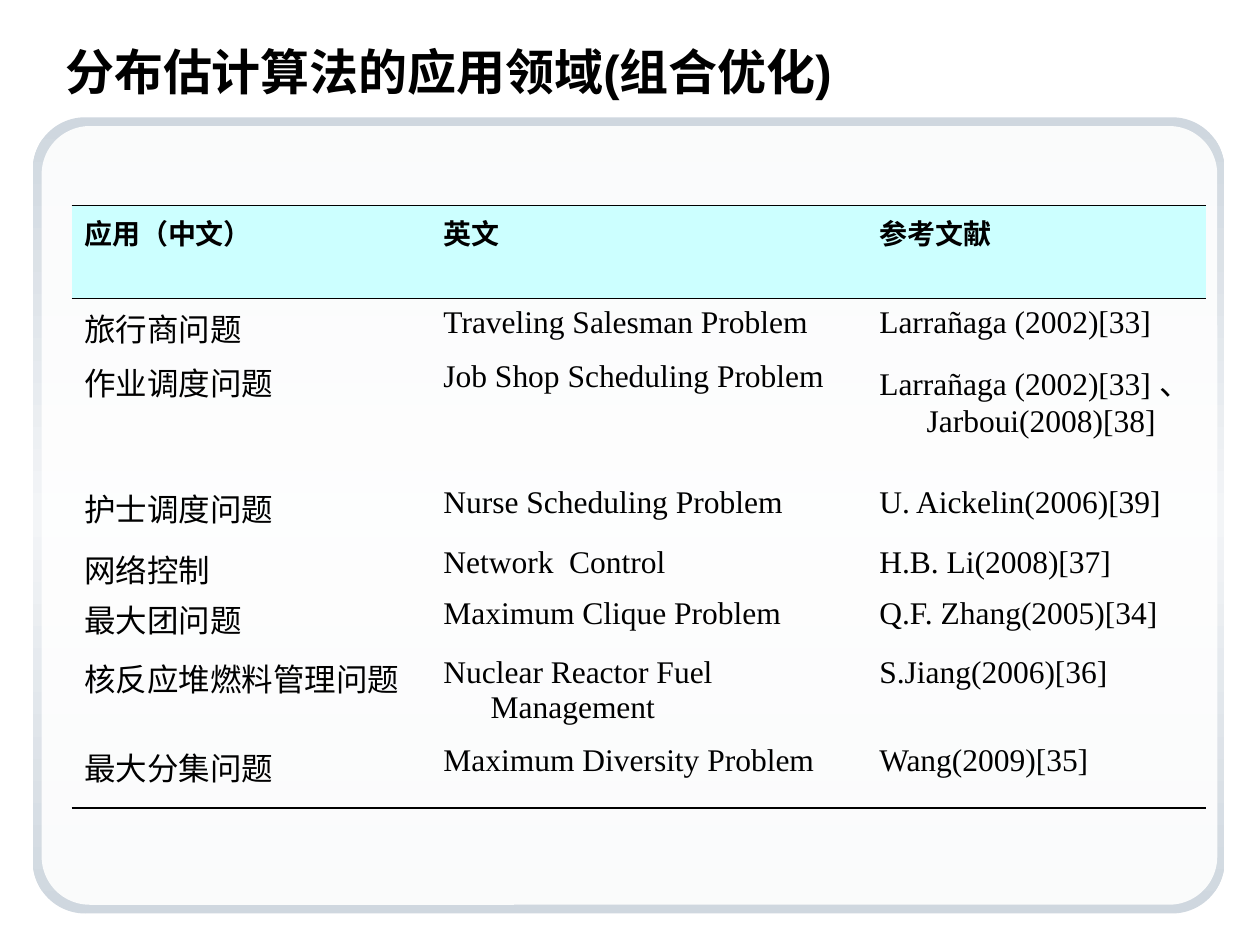
import copy

import pptx
import pptx.dml.color
import pptx.enum.dml
import pptx.enum.shapes
import pptx.enum.text
import pptx.oxml
import pptx.oxml.ns
import pptx.util
from lxml import etree

Pt = pptx.util.Pt
qn = pptx.oxml.ns.qn
RGBColor = pptx.dml.color.RGBColor

BLACK = RGBColor(0x00, 0x00, 0x00)
WHITE = RGBColor(0xFF, 0xFF, 0xFF)
EDGE_GREY = RGBColor(0xCF, 0xD7, 0xDF)
MIDDLE_GREY = RGBColor(0xF3, 0xF5, 0xF7)
HEADER_CYAN = RGBColor(0xCC, 0xFF, 0xFF)

TITLE = "分布估计算法的应用领域(组合优化)"
APPLICATIONS = [
    ("应用（中文）", "英文", "参考文献"),
    ("旅行商问题", "Traveling Salesman Problem", "Larrañaga (2002)[33]"),
    ("作业调度问题", "Job Shop Scheduling Problem",
     "Larrañaga (2002)[33] 、Jarboui(2008)[38]"),
    ("护士调度问题", "Nurse Scheduling Problem", "U. Aickelin(2006)[39]"),
    ("网络控制", "Network  Control", "H.B. Li(2008)[37]"),
    ("最大团问题", "Maximum Clique Problem", "Q.F. Zhang(2005)[34]"),
    ("核反应堆燃料管理问题", "Nuclear Reactor Fuel Management", "S.Jiang(2006)[36]"),
    ("最大分集问题", "Maximum Diversity Problem", "Wang(2009)[35]"),
]
COLUMN_WIDTHS = [205.2, 249.1, 193.7]
ROW_HEIGHTS = [53.3, 31, 50.4, 34.6, 28.8, 33.8, 50.4, 40.3]


class SlideBuilder:
    title_font = "Arial"
    table_font = "Times New Roman"
    title_size = 28
    header_size = 16
    body_size = 18
    hanging_indent = 27
    outer_rule = 0.96
    header_rule = 0.45

    def __init__(self, slide):
        self.slide = slide

    def style(self, paragraph, font_name, size, bold):
        paragraph.font.name = font_name
        paragraph.font.size = Pt(size)
        paragraph.font.bold = bold
        paragraph.font.color.rgb = BLACK

    def panel(self, left, top, width, height, rounding):
        shape = self.slide.shapes.add_shape(
            pptx.enum.shapes.MSO_SHAPE.ROUNDED_RECTANGLE,
            Pt(left), Pt(top), Pt(width), Pt(height))
        shape.adjustments[0] = rounding
        shape.shadow.inherit = False
        shape.line.fill.background()
        return shape

    def gradient_panel(self, left, top, width, height, rounding, colors):
        shape = self.panel(left, top, width, height, rounding)
        shape.fill.gradient()
        shape.fill.gradient_angle = 90
        stop_list = shape.element.spPr.find(".//" + qn("a:gsLst"))
        stop_list.insert(1, copy.deepcopy(stop_list[0]))
        for index, (stop, color) in enumerate(zip(shape.fill.gradient_stops, colors)):
            stop.position = index / (len(colors) - 1)
            stop.color.rgb = color

    def translucent_panel(self, left, top, width, height, rounding, color, opacity):
        shape = self.panel(left, top, width, height, rounding)
        shape.fill.solid()
        shape.fill.fore_color.rgb = color
        color_element = shape.element.spPr.find(".//" + qn("a:srgbClr"))
        etree.SubElement(color_element, qn("a:alpha"), val=str(opacity * 1000))

    def title(self, text, left, top, width, height):
        shape = self.slide.shapes.add_textbox(Pt(left), Pt(top), Pt(width), Pt(height))
        frame = shape.text_frame
        frame.word_wrap = True
        frame.vertical_anchor = pptx.enum.text.MSO_ANCHOR.MIDDLE
        frame.text = text
        self.style(frame.paragraphs[0], self.title_font, self.title_size, True)

    def borders(self, cell, top, bottom):
        properties = cell._tc.get_or_add_tcPr()
        sides = [("a:lnL", 0), ("a:lnR", 0), ("a:lnT", top), ("a:lnB", bottom)]
        # Border lines come before the fill in the cell properties
        for index, (tag, width) in enumerate(sides):
            line = etree.Element(qn(tag), w=str(Pt(width)))
            if width:
                fill = etree.SubElement(line, qn("a:solidFill"))
                etree.SubElement(fill, qn("a:srgbClr"), val=str(BLACK))
            else:
                etree.SubElement(line, qn("a:noFill"))
            properties.insert(index, line)

    def cell(self, cell, text, is_header):
        cell.text = text
        paragraph = cell.text_frame.paragraphs[0]
        size = self.header_size if is_header else self.body_size
        self.style(paragraph, self.table_font, size, is_header)
        paragraph_properties = paragraph._p.get_or_add_pPr()
        paragraph_properties.set("marL", str(Pt(self.hanging_indent)))
        paragraph_properties.set("indent", str(-Pt(self.hanging_indent)))
        if is_header:
            cell.fill.solid()
            cell.fill.fore_color.rgb = HEADER_CYAN
        else:
            cell.fill.background()

    def table(self, rows, left, top, column_widths, row_heights):
        table = self.slide.shapes.add_table(
            len(rows), len(column_widths), Pt(left), Pt(top),
            Pt(sum(column_widths)), Pt(sum(row_heights))).table
        table.first_row = False
        table.horz_banding = False
        for column, width in zip(table.columns, column_widths):
            column.width = Pt(width)
        for row, height in zip(table.rows, row_heights):
            row.height = Pt(height)

        # Rules above and below the header, and under the last row
        rules = [self.outer_rule, self.header_rule] + [0] * (len(rows) - 2)
        rules.append(self.outer_rule)
        for row_index, texts in enumerate(rows):
            for column_index, text in enumerate(texts):
                cell = table.cell(row_index, column_index)
                self.cell(cell, text, row_index == 0)
                self.borders(cell, rules[row_index], rules[row_index + 1])


def main():
    presentation = pptx.Presentation()
    presentation.slide_width = Pt(720)
    presentation.slide_height = Pt(540)
    builder = SlideBuilder(presentation.slides.add_slide(presentation.slide_layouts[6]))

    # Rounded frame
    builder.gradient_panel(18.7, 67, 681.1, 455, 0.066,
                           [EDGE_GREY, MIDDLE_GREY, EDGE_GREY])
    builder.translucent_panel(23.8, 72, 671.8, 445, 0.062, WHITE, 90)

    # Title
    builder.title(TITLE, 30.2, 18, 671.8, 44.6)

    # Table of applications
    builder.table(APPLICATIONS, 41, 117.4, COLUMN_WIDTHS, ROW_HEIGHTS)

    presentation.save("out.pptx")


if __name__ == "__main__":
    main()
